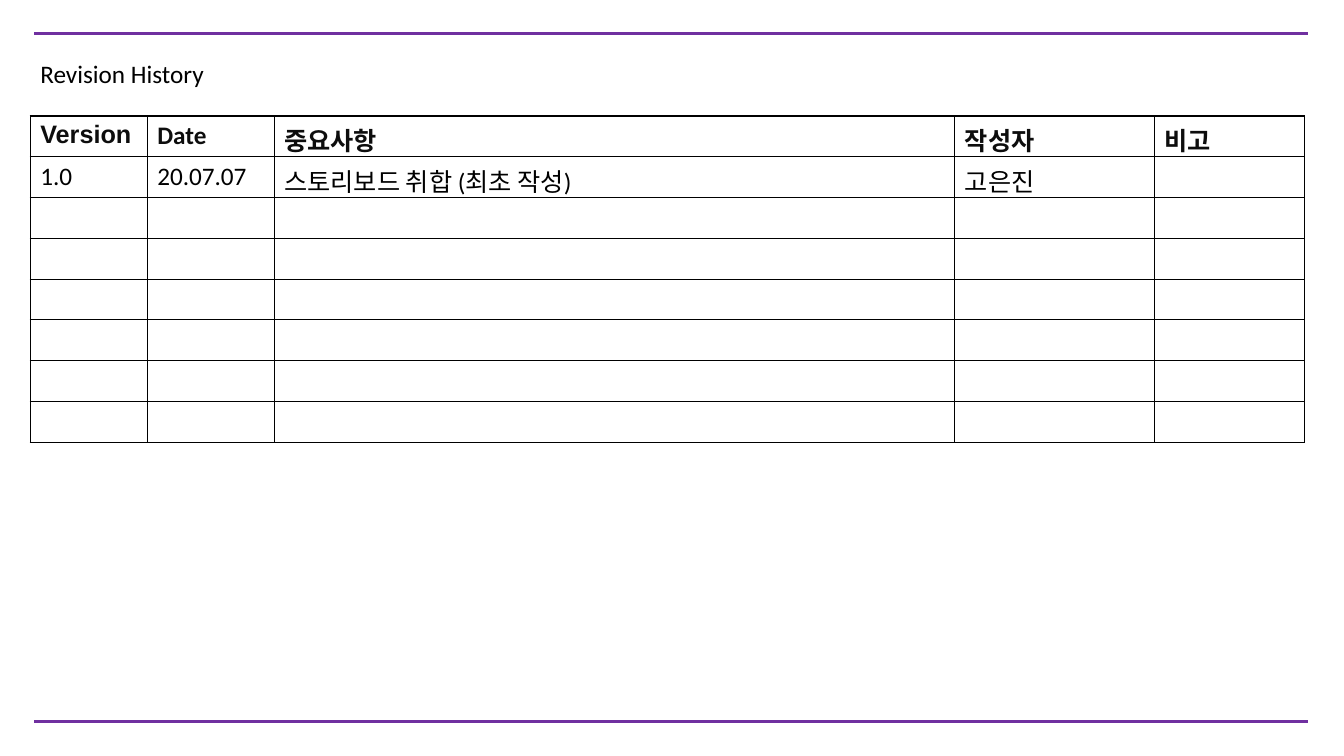
"""Build the revision history slide."""
from lxml import etree
from pptx import Presentation
from pptx import util as u
from pptx.dml.color import RGBColor
from pptx.enum import shapes, text
from pptx.oxml import ns

COLORS = {"rule": "7030A0", "text": "000000", "header": "0D0D0D", "border": "000000"}
COLUMN_WIDTHS = [1.16, 1.26, 6.75, 1.98, 1.49]
ROW_COUNT = 8
HEADERS = ["Version", "Date", "중요사항", "작성자", "비고"]
FIRST_REVISION = ["1.0", "20.07.07", "스토리보드 취합 (최초 작성)", "고은진"]


class SlideBuilder:
    """Hold the text style and the current slide."""

    def __init__(self, presentation, font="Calibri", size=18):
        """Add a title-only slide to the presentation."""
        self.slide = presentation.slides.add_slide(presentation.slide_layouts[5])
        self.font = font
        self.size = size

    def add_text(self, frame, words, color="text", bold=False, font=None):
        """Add one formatted run to the first paragraph of a text frame."""
        paragraph = frame.paragraphs[0]
        paragraph.alignment = text.PP_ALIGN.LEFT
        run = paragraph.add_run()
        run.text = words
        run.font.name = font or self.font
        run.font.size = u.Pt(self.size)
        run.font.bold = bold
        run.font.color.rgb = RGBColor.from_string(COLORS[color])

    def rule(self, left, right, top):
        """Draw a horizontal rule."""
        line = self.slide.shapes.add_connector(
            shapes.MSO_CONNECTOR.STRAIGHT,
            u.Inches(left), u.Inches(top), u.Inches(right), u.Inches(top))
        line.line.color.rgb = RGBColor.from_string(COLORS["rule"])
        line.line.width = u.Pt(2.25)
        etree.SubElement(line._element.spPr, ns.qn("a:effectLst"))

    def title(self, words, left, top, width, height):
        """Place and fill the title placeholder."""
        shape = self.slide.shapes.title
        shape.left, shape.top = u.Inches(left), u.Inches(top)
        shape.width, shape.height = u.Inches(width), u.Inches(height)
        frame = shape.text_frame
        frame.word_wrap = False
        frame.auto_size = text.MSO_AUTO_SIZE.SHAPE_TO_FIT_TEXT
        frame.vertical_anchor = text.MSO_ANCHOR.TOP
        self.add_text(frame, words)

    def table(self, left, top, height, widths, row_count):
        """Add an unfilled, bordered table and return it."""
        table = self.slide.shapes.add_table(
            row_count, len(widths), u.Inches(left), u.Inches(top),
            u.Inches(sum(widths)), u.Inches(height)).table
        table.first_row = table.horz_banding = False
        for column, width in zip(table.columns, widths):
            column.width = u.Inches(width)
        for cell in table.iter_cells():
            cell.fill.background()
            self.border(cell)
        return table

    def border(self, cell):
        """Give a cell a thin line on all four sides."""
        properties = cell._tc.get_or_add_tcPr()
        for index, side in enumerate(["lnL", "lnR", "lnT", "lnB"]):
            line = etree.Element(ns.qn(f"a:{side}"), w=str(u.Pt(1)))
            fill = etree.SubElement(line, ns.qn("a:solidFill"))
            etree.SubElement(fill, ns.qn("a:srgbClr"), val=COLORS["border"])
            properties.insert(index, line)


def main():
    """Compose the slide and save it."""
    presentation = Presentation()
    presentation.slide_width = u.Inches(13.33)
    presentation.slide_height = u.Inches(7.5)
    builder = SlideBuilder(presentation)

    for top in (0.33, 7.16):
        builder.rule(0.34, 12.97, top)
    builder.title("Revision History", 0.3, 0.53, 1.84, 0.4)

    history = builder.table(0.3, 1.15, 3.24, COLUMN_WIDTHS, ROW_COUNT)
    for column, words in enumerate(HEADERS):
        builder.add_text(history.cell(0, column).text_frame, words, "header", True,
                         "Arial" if column == 0 else None)
    for column, words in enumerate(FIRST_REVISION):
        builder.add_text(history.cell(1, column).text_frame, words)

    presentation.save("out.pptx")


main()
